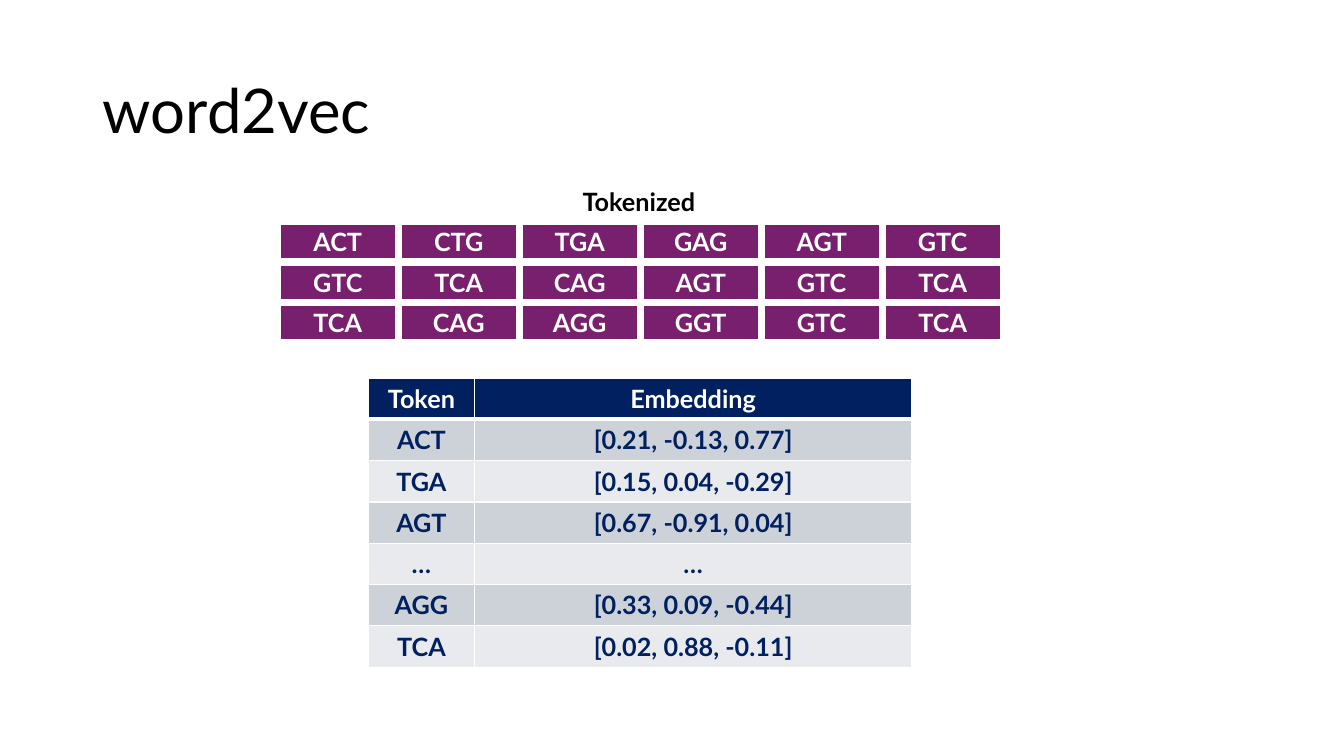
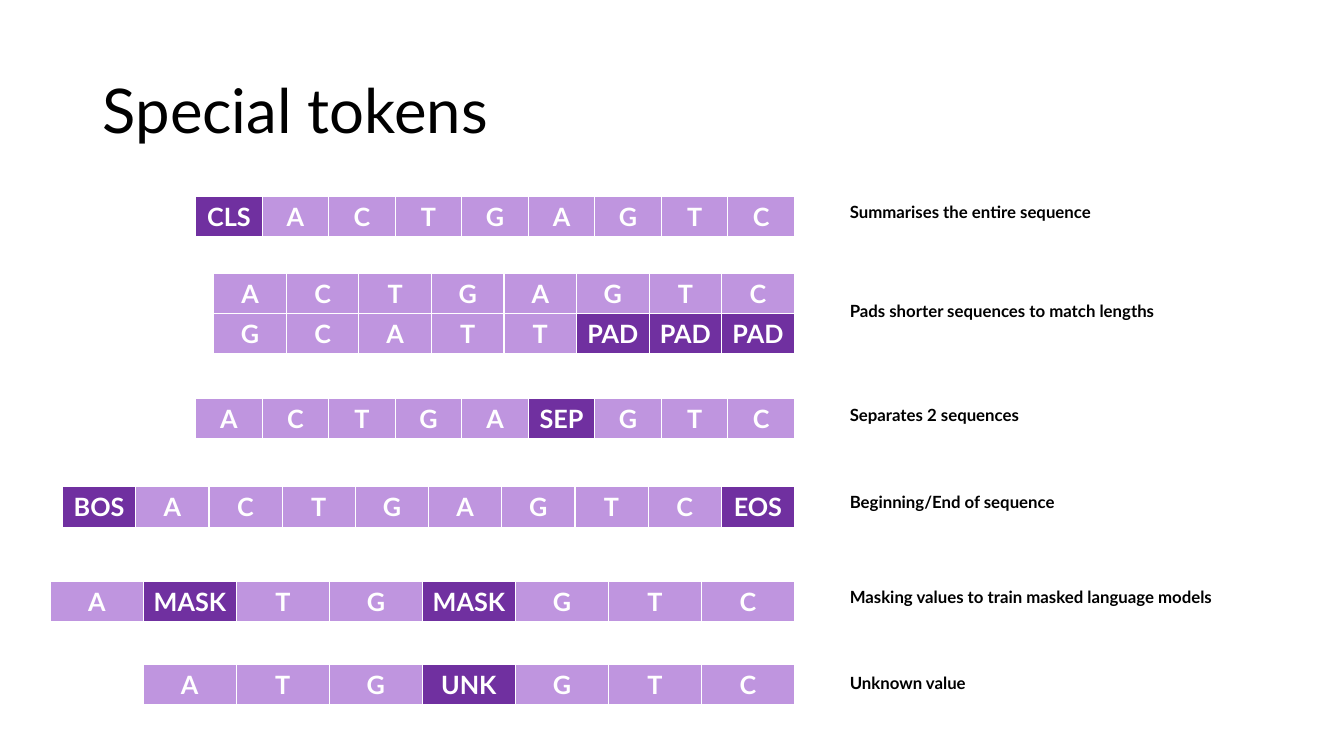
from lxml import etree
from pptx import Presentation
from pptx.dml import color
from pptx.enum import text
from pptx.oxml import ns
from pptx.util import Inches, Pt

FONT = "Lato"
BLACK, WHITE, NAVY = "000000", "FFFFFF", "002060"
PLUM, VIOLET, LILAC = "78206E", "7030A0", "BF95DF"
BANDS = ("CCD2D8", "E8EAED")
SPECIAL = {"CLS", "PAD", "SEP", "BOS", "EOS", "MASK", "UNK"}


def rgb(value):
    return color.RGBColor.from_string(value)


class Slides:
    def __init__(self):
        self.deck = Presentation()
        self.deck.slide_width = Inches(13.33)
        self.deck.slide_height = Inches(7.5)
        self.page = None

    def add_page(self, title):
        self.page = self.deck.slides.add_slide(self.deck.slide_layouts[5])
        box = self.page.shapes.title
        box.left, box.top = Inches(0.92), Inches(0.4)
        box.width, box.height = Inches(11.5), Inches(1.45)
        frame = box.text_frame
        frame.text = title
        frame.vertical_anchor = text.MSO_ANCHOR.MIDDLE
        frame.paragraphs[0].alignment = text.PP_ALIGN.LEFT
        frame.paragraphs[0].line_spacing = 0.9
        self.style(frame.paragraphs[0], 44, BLACK, False)

    def style(self, para, size, ink, bold=True):
        for span in para.runs:
            span.font.name = FONT
            span.font.size = Pt(size)
            span.font.bold = bold
            span.font.color.rgb = rgb(ink)

    def label(self, words, left, top, width, height, size):
        box = self.page.shapes.add_textbox(
            Inches(left), Inches(top), Inches(width), Inches(height))
        frame = box.text_frame
        frame.text = words
        frame.word_wrap = False
        frame.auto_size = text.MSO_AUTO_SIZE.SHAPE_TO_FIT_TEXT
        self.style(frame.paragraphs[0], size, BLACK)

    def border(self, cell, edge, points):
        properties = cell._tc.get_or_add_tcPr()
        line = etree.SubElement(properties, ns.qn("a:ln" + edge), w=str(Pt(points)))
        fill = etree.SubElement(line, ns.qn("a:solidFill"))
        etree.SubElement(fill, ns.qn("a:srgbClr"), val=WHITE)

    def table(self, rows, left, top, widths, row_height, colours, line=1, header_line=None):
        frame = self.page.shapes.add_table(
            len(rows), len(widths), Inches(left), Inches(top),
            Inches(sum(widths)), Inches(row_height * len(rows)))
        grid = frame.table
        grid.first_row = grid.horz_banding = False
        for column, width in zip(grid.columns, widths):
            column.width = Inches(width)
        for r, words in enumerate(rows):
            grid.rows[r].height = Inches(row_height)
            for c, word in enumerate(words):
                cell = grid.cell(r, c)
                edges = {edge: line for edge in "LRTB"}
                if header_line and r < 2:
                    edges["B" if r == 0 else "T"] = header_line
                for edge, points in edges.items():
                    self.border(cell, edge, points)
                fill, ink = colours(r, word)
                cell.fill.solid()
                cell.fill.fore_color.rgb = rgb(fill)
                cell.margin_left = cell.margin_right = Inches(0.05)
                cell.vertical_anchor = text.MSO_ANCHOR.MIDDLE
                cell.text_frame.text = word
                para = cell.text_frame.paragraphs[0]
                para.alignment = text.PP_ALIGN.CENTER
                self.style(para, 18, ink)


def token_colours(row, word):
    return (VIOLET if word in SPECIAL else LILAC), WHITE


def embedding_colours(row, word):
    return (NAVY, WHITE) if row == 0 else (BANDS[(row - 1) % 2], NAVY)


def word2vec(slides):
    slides.add_page("word2vec")
    tokens = ("ACT CTG TGA GAG AGT GTC", "GTC TCA CAG AGT GTC TCA", "TCA CAG AGG GGT GTC TCA")
    slides.table([row.split() for row in tokens], 2.75, 2.2, [1.2] * 6, 0.4,
                 lambda row, word: (PLUM, WHITE), line=6)
    embeddings = [
        ("Token", "Embedding"),
        ("ACT", "[0.21, -0.13, 0.77]"),
        ("TGA", "[0.15, 0.04, -0.29]"),
        ("AGT", "[0.67, -0.91, 0.04]"),
        ("…", "…"),
        ("AGG", "[0.33, 0.09, -0.44]"),
        ("TCA", "[0.02, 0.88, -0.11]"),
    ]
    slides.table(embeddings, 3.65, 3.75, [1.06, 4.33], 0.41, embedding_colours, header_line=3)
    slides.label("Tokenized", 5.68, 1.8, 1.34, 0.4, 18)


def special_tokens(slides):
    slides.add_page("Special tokens")
    right = 7.88
    examples = [
        (["CLS A C T G A G T C"], 1.95, 5.94,
         "Summarises the entire sequence", 1.95, 2.72),
        (["A C T G A G T C", "G C A T T PAD PAD PAD"], 2.71, 5.76,
         "Pads shorter sequences to match lengths", 2.93, 3.37),
        (["A C T G A SEP G T C"], 3.95, 5.94,
         "Separates 2 sequences", 3.97, 1.97),
        (["BOS A C T G A G T C EOS"], 4.83, 7.26,
         "Beginning/End of sequence", 4.83, 2.29),
        (["A MASK T G MASK G T C"], 5.77, 7.38,
         "Masking values to train masked language models", 5.77, 3.93),
        (["A T G UNK G T C"], 6.59, 6.46,
         "Unknown value", 6.62, 1.37),
    ]
    for sequences, top, width, meaning, label_top, label_width in examples:
        rows = [sequence.split() for sequence in sequences]
        count = len(rows[0])
        slides.table(rows, right - width, top, [width / count] * count, 0.4, token_colours)
        slides.label(meaning, 8.33, label_top, label_width, 0.3, 12)


def main():
    slides = Slides()
    word2vec(slides)
    special_tokens(slides)
    slides.deck.save("out.pptx")


if __name__ == "__main__":
    main()
